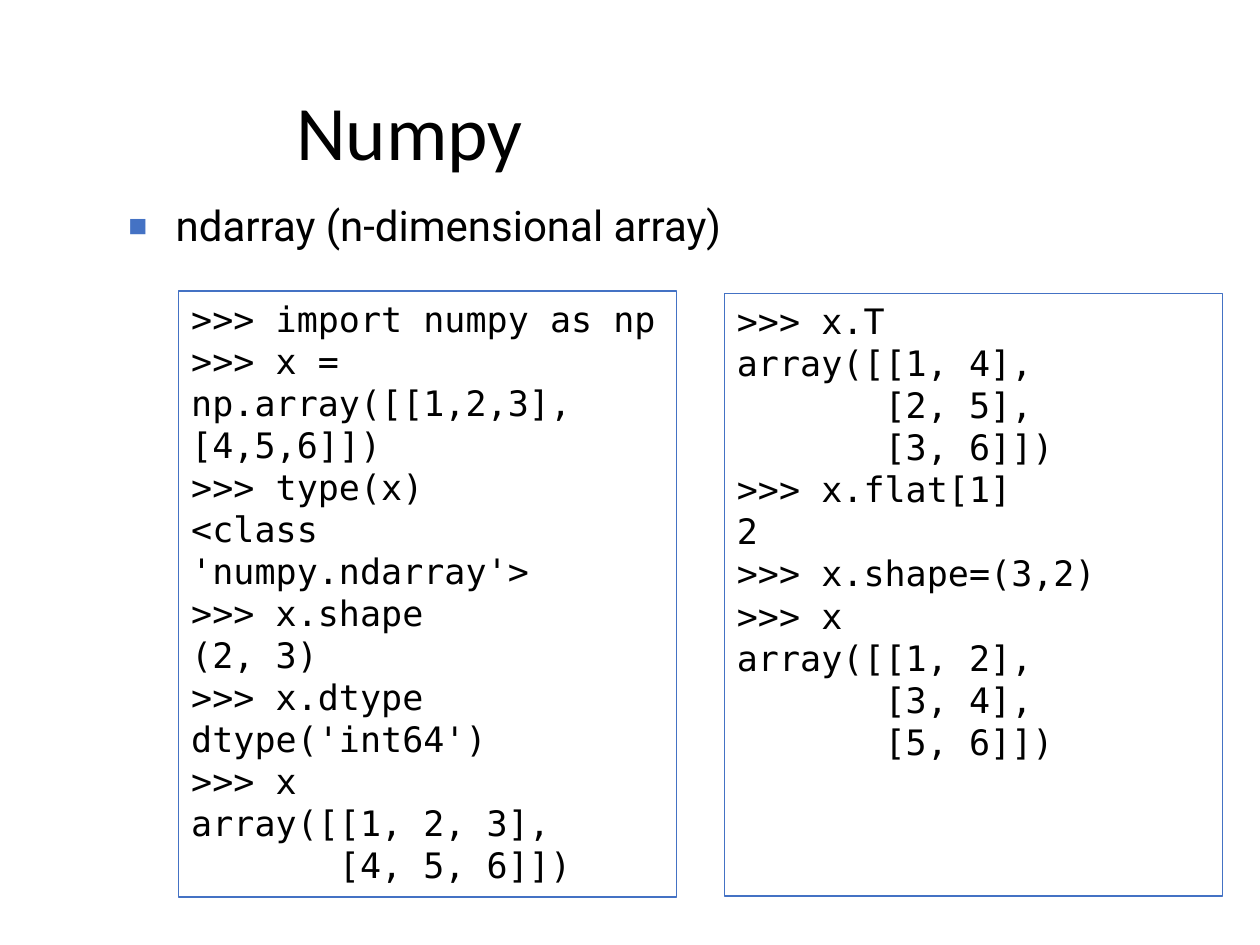
from dataclasses import dataclass

from lxml import etree
from pptx import Presentation
from pptx.dml.color import RGBColor
from pptx.enum.shapes import MSO_SHAPE
from pptx.enum.text import MSO_ANCHOR, MSO_AUTO_SIZE, PP_ALIGN
from pptx.oxml.ns import qn
from pptx.util import Pt

RECTANGLE = MSO_SHAPE.RECTANGLE
TOP, MIDDLE = MSO_ANCHOR.TOP, MSO_ANCHOR.MIDDLE
LEFT = PP_ALIGN.LEFT
FIXED_SIZE = MSO_AUTO_SIZE.NONE


@dataclass(frozen=True)
class Theme:
    ink: str = "000000"
    accent: str = "4472C4"
    title_font: str = "Calibri"
    body_font: str = "Roboto"
    code_font: str = "DejaVu Sans Mono"
    title_size: float = 44
    body_size: float = 24
    code_size: float = 20
    border: float = 0.75


THEME = Theme()

# Boxes: left, top, width, height in points
TITLE_BOX = (162, 43.2, 396, 61.9)
TOPIC_BOX = (66.2, 113.8, 606.2, 41.8)
CREATION_BOX = (102.2, 166.3, 284.4, 346.3)
RESHAPING_BOX = (414, 167.8, 284.4, 344.2)

CREATION_CODE = """\
>>> import numpy as np
>>> x = np.array([[1,2,3],[4,5,6]])
>>> type(x)
<class 'numpy.ndarray'>
>>> x.shape
(2, 3)
>>> x.dtype
dtype('int64')
>>> x
array([[1, 2, 3],
       [4, 5, 6]])"""

RESHAPING_CODE = """\
>>> x.T
array([[1, 4],
       [2, 5],
       [3, 6]])
>>> x.flat[1]
2
>>> x.shape=(3,2)
>>> x
array([[1, 2],
       [3, 4],
       [5, 6]])"""


def place(region, box):
    region.left, region.top, region.width, region.height = map(Pt, box)


def prepare_frame(region, anchor):
    frame = region.text_frame
    frame.word_wrap = True
    frame.auto_size = FIXED_SIZE
    frame.vertical_anchor = anchor
    return frame


def write(paragraph, text, font, size):
    paragraph.alignment = LEFT
    run = paragraph.add_run()
    run.text = text
    run.font.name = font
    run.font.size = Pt(size)
    run.font.color.rgb = RGBColor.from_string(THEME.ink)


def set_square_bullet(paragraph, indent):
    properties = paragraph._p.get_or_add_pPr()
    properties.set("marL", str(Pt(indent)))
    properties.set("indent", str(-Pt(indent)))
    colour = etree.SubElement(properties, qn("a:buClr"))
    etree.SubElement(colour, qn("a:srgbClr"), val=THEME.accent)
    etree.SubElement(properties, qn("a:buSzPct"), val="75000")
    etree.SubElement(properties, qn("a:buChar"), char="■")


def add_title(slide, box, text):
    title = slide.shapes.title
    place(title, box)
    frame = prepare_frame(title, MIDDLE)
    write(frame.paragraphs[0], text, THEME.title_font, THEME.title_size)


def add_topic(slide, box, text):
    topic = slide.placeholders[1]
    place(topic, box)
    paragraph = prepare_frame(topic, TOP).paragraphs[0]
    set_square_bullet(paragraph, 27)
    paragraph.line_spacing = 0.9
    paragraph.space_before = Pt(0)
    write(paragraph, text, THEME.body_font, THEME.body_size)


def add_code_panel(slide, box, code):
    panel = slide.shapes.add_shape(RECTANGLE, *map(Pt, box))
    panel.shadow.inherit = False
    panel.fill.background()
    panel.line.color.rgb = RGBColor.from_string(THEME.accent)
    panel.line.width = Pt(THEME.border)
    frame = prepare_frame(panel, TOP)
    for number, line in enumerate(code.splitlines()):
        paragraph = frame.add_paragraph() if number else frame.paragraphs[0]
        write(paragraph, line, THEME.code_font, THEME.code_size)


def main():
    deck = Presentation()
    deck.slide_width, deck.slide_height = Pt(720), Pt(540)
    slide = deck.slides.add_slide(deck.slide_layouts[1])

    # Heading and topic
    add_title(slide, TITLE_BOX, "Numpy")
    add_topic(slide, TOPIC_BOX, "ndarray (n-dimensional array)")

    # Interpreter sessions
    add_code_panel(slide, CREATION_BOX, CREATION_CODE)
    add_code_panel(slide, RESHAPING_BOX, RESHAPING_CODE)

    deck.save("out.pptx")


if __name__ == "__main__":
    main()
